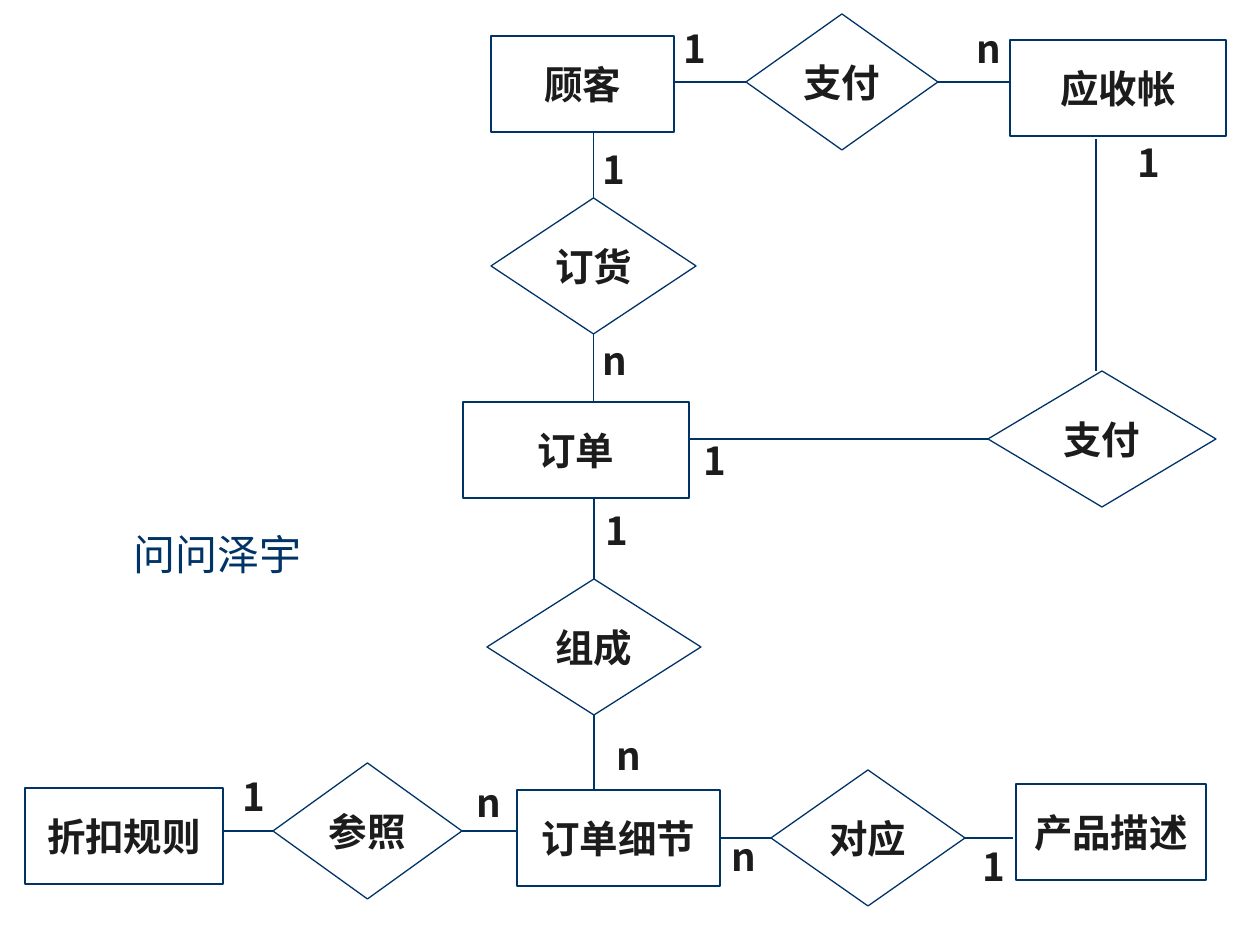
from lxml.etree import SubElement
from pptx import Presentation
from pptx.dml.color import RGBColor
from pptx.enum.shapes import MSO_CONNECTOR, MSO_SHAPE
from pptx.enum.text import MSO_ANCHOR, PP_ALIGN
from pptx.oxml.ns import qn
from pptx.util import Pt

EMU_PER_PX = 914400 / 126
TOP, LEFT, BOTTOM, RIGHT = range(4)


def px(length):
    return round(length * EMU_PER_PX)


def color(hex_code):
    return RGBColor.from_string(hex_code)


class ErDiagram:
    NAVY = "003366"
    LABEL = {"size": Pt(22), "bold": True, "name": "Noto Sans CJK SC"}
    NOTE = {"size": Pt(24), "bold": False, "name": "Roboto"}
    INK = "1C1C1C"
    ENTITY_HEIGHT = 96
    RELATION_HEIGHT = 136
    MARK_WIDTH, MARK_HEIGHT = 43, 54

    def __init__(self, slide):
        self.slide = slide

    def letter(self, holder, words, font_values, ink, **frame_values):
        """Put centred words into a shape or text box."""
        frame = holder.text_frame
        for key, value in frame_values.items():
            setattr(frame, key, value)
        paragraph = frame.paragraphs[0]
        paragraph.alignment = PP_ALIGN.CENTER
        run = paragraph.add_run()
        run.text = words
        for key, value in font_values.items():
            setattr(run.font, key, value)
        run.font.color.rgb = color(ink)
        SubElement(run.font._element, qn("a:ea"), typeface=font_values["name"])

    def stroke(self, line):
        line.color.rgb = color(self.NAVY)
        line.width = Pt(0.75)

    def node(self, outline, words, left, top, width, height):
        shape = self.slide.shapes.add_shape(
            outline, px(left), px(top), px(width), px(height))
        shape.shadow.inherit = False
        shape.fill.background()
        self.stroke(shape.line)
        self.letter(shape, words, self.LABEL, self.INK,
                    word_wrap=False, vertical_anchor=MSO_ANCHOR.MIDDLE)
        return shape

    def entity(self, words, left, top, width):
        return self.node(MSO_SHAPE.RECTANGLE, words, left, top, width, self.ENTITY_HEIGHT)

    def relation(self, words, left, top, width):
        return self.node(MSO_SHAPE.FLOWCHART_DECISION, words, left, top, width,
                         self.RELATION_HEIGHT)

    def line(self, x1, y1, x2, y2):
        """Draw a straight line between two points given in EMU."""
        connector = self.slide.shapes.add_connector(
            MSO_CONNECTOR.STRAIGHT, x1, y1, x2, y2)
        self.stroke(connector.line)
        SubElement(connector._element.spPr, qn("a:effectLst"))
        return connector

    def link(self, relation, side, reach):
        """Run straight out of a relation's corner to the x or y given by reach."""
        middle_x = relation.left + relation.width // 2
        middle_y = relation.top + relation.height // 2
        if side in (LEFT, RIGHT):
            connector = self.line(middle_x, middle_y, px(reach), middle_y)
        else:
            connector = self.line(middle_x, middle_y, middle_x, px(reach))
        connector.begin_connect(relation, side)
        return connector

    def text_box(self, left, top, width, height):
        return self.slide.shapes.add_textbox(px(left), px(top), px(width), px(height))

    def cardinality(self, mark, center_x, center_y):
        box = self.text_box(center_x - self.MARK_WIDTH // 2, center_y - self.MARK_HEIGHT // 2,
                            self.MARK_WIDTH, self.MARK_HEIGHT)
        self.letter(box, mark, self.LABEL, self.INK,
                    word_wrap=False, vertical_anchor=MSO_ANCHOR.MIDDLE)

    def note(self, words, left, top, width, height):
        box = self.text_box(left, top, width, height)
        self.letter(box, words, self.NOTE, self.NAVY, word_wrap=True)


def main():
    deck = Presentation()
    deck.slide_width, deck.slide_height = px(1260), px(945)
    diagram = ErDiagram(deck.slides.add_slide(deck.slide_layouts[6]))

    order_detail = diagram.entity("订单细节", 517, 790, 203)
    for words, left, top, width in [
        ("应收帐", 1010, 40, 216),
        ("产品描述", 1016, 784, 190),
        ("顾客", 491, 36, 183),
        ("订单", 463, 402, 226),
        ("折扣规则", 25, 788, 198),
    ]:
        diagram.entity(words, left, top, width)

    ordering = diagram.relation("订货", 491, 198, 205)
    reference = diagram.relation("参照", 273, 763, 189)
    composition = diagram.relation("组成", 487, 579, 214)
    match = diagram.relation("对应", 771, 770, 194)
    customer_payment = diagram.relation("支付", 746, 14, 192)
    order_payment = diagram.relation("支付", 988, 371, 228)

    for relation, side, reach in [
        (reference, LEFT, 223),
        (reference, RIGHT, 517),
        (match, RIGHT, 1013),
        (composition, BOTTOM, 790),
        (composition, TOP, 498),
        (ordering, BOTTOM, 402),
        (ordering, TOP, 132),
        (customer_payment, LEFT, 674),
        (customer_payment, RIGHT, 1010),
        (order_payment, LEFT, 689),
    ]:
        diagram.link(relation, side, reach)
    diagram.link(match, LEFT, 720).end_connect(order_detail, RIGHT)
    diagram.line(px(1096), px(139), px(1096), px(371))

    for mark, center_x, center_y in [
        ("1", 692, 48), ("n", 985, 48),
        ("1", 611, 169), ("n", 611, 360),
        ("1", 614, 530), ("n", 625, 755),
        ("1", 251, 796), ("n", 485, 802),
        ("n", 740, 856), ("1", 991, 866),
        ("1", 712, 460), ("1", 1146, 162),
    ]:
        diagram.cardinality(mark, center_x, center_y)

    diagram.note("问问泽宇", 94, 522, 248, 63)
    deck.save("out.pptx")


if __name__ == "__main__":
    main()
